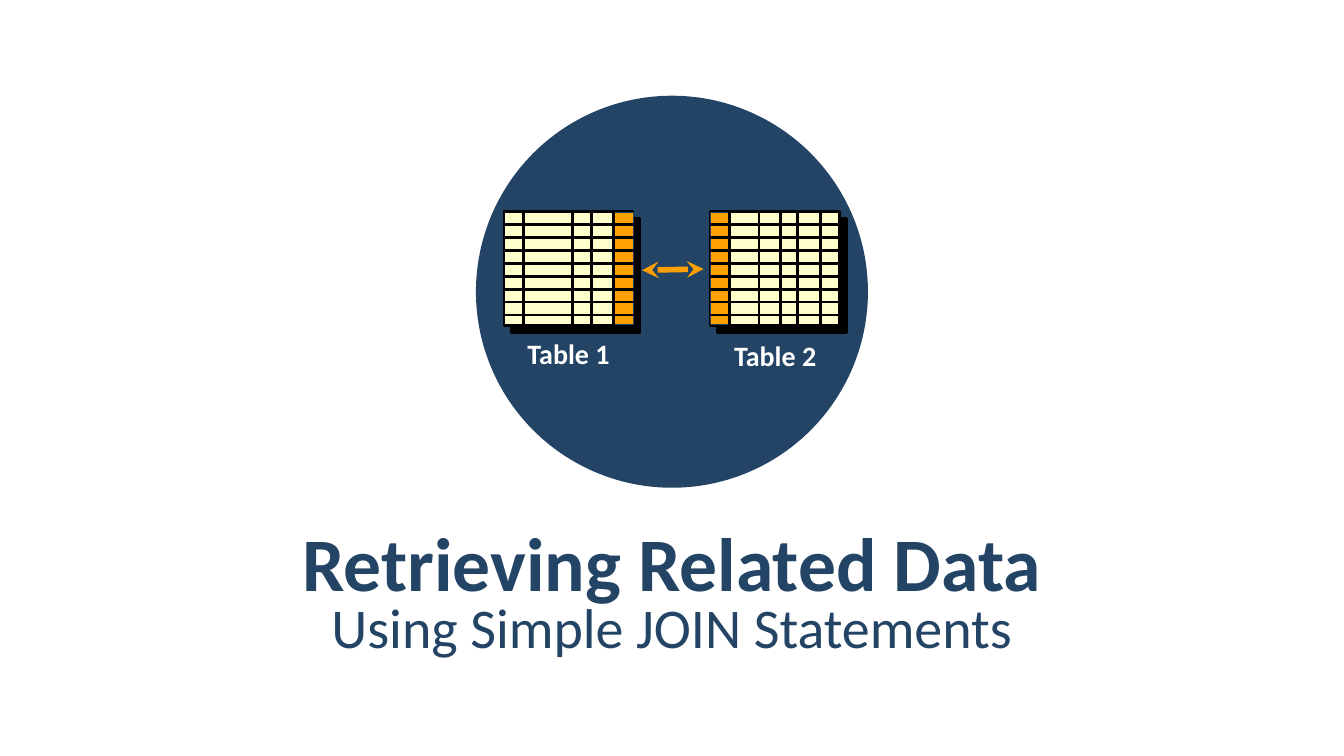
from lxml import etree
from pptx import Presentation
from pptx import util as u
from pptx.dml.color import RGBColor
from pptx.enum import shapes, text
from pptx.oxml import parse_xml
from pptx.oxml.ns import nsdecls, qn

COLORS = {"navy": "234465", "cream": "FFFFCC", "orange": "FFA000",
          "black": "000000", "white": "FFFFFF"}


class SlideBuilder:
    """Holds the style, the slide and the container being drawn into."""

    font = "Calibri"

    def __init__(self, slide):
        self.slide = slide
        self.container = slide.shapes

    def color(self, name):
        return RGBColor.from_string(COLORS[name])

    def start_group(self):
        self.container = self.slide.shapes.add_group_shape().shapes

    def end_group(self):
        self.container = self.slide.shapes

    def shape(self, kind, box, fill, line=None, width=0):
        shape = self.container.add_shape(kind, *map(u.Pt, box))
        shape.shadow.inherit = False
        shape.fill.solid()
        shape.fill.fore_color.rgb = self.color(fill)
        if line:
            shape.line.color.rgb = self.color(line)
            shape.line.width = u.Pt(width)
        else:
            shape.line.fill.background()
        return shape

    def drop_shadow(self, shape, distance):
        effects = shape._element.spPr.find(qn("a:effectLst"))
        effects.append(parse_xml(
            f'<a:outerShdw {nsdecls("a")} dist="{u.Pt(distance)}" dir="2700000" '
            f'algn="ctr" rotWithShape="0"><a:srgbClr val="{COLORS["black"]}"/>'
            '</a:outerShdw>'))

    def line(self, start, end, color="black", width=2, arrows=False):
        line = self.container.add_connector(
            shapes.MSO_CONNECTOR.STRAIGHT, *map(u.Pt, (*start, *end)))
        line.line.color.rgb = self.color(color)
        line.line.width = u.Pt(width)
        if arrows:
            outline = line.line._get_or_add_ln()
            for end_name in ("a:headEnd", "a:tailEnd"):
                etree.SubElement(outline, qn(end_name), type="stealth")
        etree.SubElement(line._element.spPr, qn("a:effectLst"))

    def text(self, words, box, size, color, bold=False, frame=None, spacing=None):
        text_box = self.container.add_textbox(*map(u.Pt, box))
        text_frame = text_box.text_frame
        text_frame.word_wrap = True
        for name, value in (frame or {}).items():
            setattr(text_frame, name, value)
        paragraph = text_frame.paragraphs[0]
        paragraph.alignment = text.PP_ALIGN.CENTER
        for name, value in (spacing or {}).items():
            setattr(paragraph, name, value)
        run = paragraph.add_run()
        run.text = words
        font_format = {"name": self.font, "size": u.Pt(size), "bold": bold}
        for name, value in font_format.items():
            setattr(run.font, name, value)
        run.font.color.rgb = self.color(color)

    def data_table(self, left, key_offset, columns, label, label_top):
        """Draw a small table icon with its key column and its label."""
        top, width, height = 151.2, 92.2, 81.4
        rows, first_row, row_height, overhang = 8, 9.4, 9.2, 0.8
        self.start_group()
        body = self.shape(shapes.MSO_SHAPE.RECTANGLE, (left, top, width, height),
                          "cream", "black", 2)
        self.drop_shadow(body, 7.1)
        self.shape(shapes.MSO_SHAPE.RECTANGLE, (left + key_offset, top + 0.4, 13, 80),
                   "orange", "navy", 0.75)
        for column in columns:
            x = left + column
            self.line((x, top - overhang), (x, top + height + overhang))
        for row in range(rows):
            y = top + first_row + row * row_height
            self.line((left - overhang, y), (left + width + overhang, y))
        self.text(label, (left, label_top, width, 31.5), 20, "white", bold=True)
        self.end_group()


def main():
    presentation = Presentation()
    presentation.slide_width, presentation.slide_height = u.Pt(960), u.Pt(540)
    slide = presentation.slides.add_slide(presentation.slide_layouts[6])
    builder = SlideBuilder(slide)

    # Backdrop circle
    builder.shape(shapes.MSO_SHAPE.OVAL, (340, 68.4, 280, 280), "navy")

    # Two tables joined on their key columns
    builder.data_table(360, 79.2, (13.7, 49, 62.6, 78.5), "Table 1", 236.9)
    builder.data_table(507.6, 0, (13.7, 34.6, 49.7, 61.9, 78.5), "Table 2", 238.3)
    builder.line((458.6, 193), (502.6, 192.2), "orange", 4, arrows=True)

    # Title and subtitle
    frame = {"margin_left": u.Pt(8.64), "margin_right": u.Pt(8.64),
             "margin_top": u.Pt(2.88), "margin_bottom": u.Pt(2.88),
             "vertical_anchor": text.MSO_ANCHOR.MIDDLE}
    builder.text("Retrieving Related Data", (48.2, 370.8, 863.3, 60.5), 54, "navy",
                 bold=True, frame=frame)
    raised = {"margin_bottom": u.Pt(29), "vertical_anchor": text.MSO_ANCHOR.BOTTOM}
    builder.text("Using Simple JOIN Statements", (48.2, 439.9, 863.3, 60.5), 40, "navy",
                 frame=frame | raised, spacing={"line_spacing": 1.05})

    presentation.save("out.pptx")


if __name__ == "__main__":
    main()
